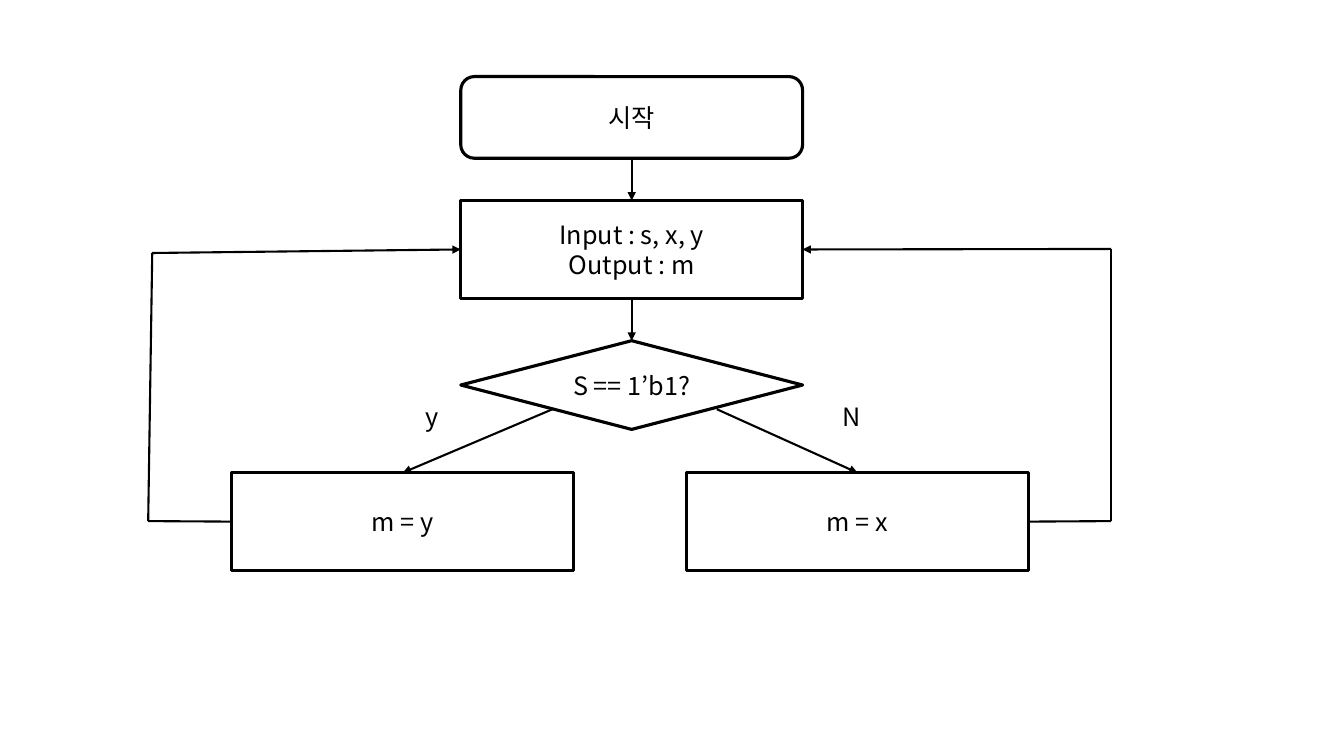
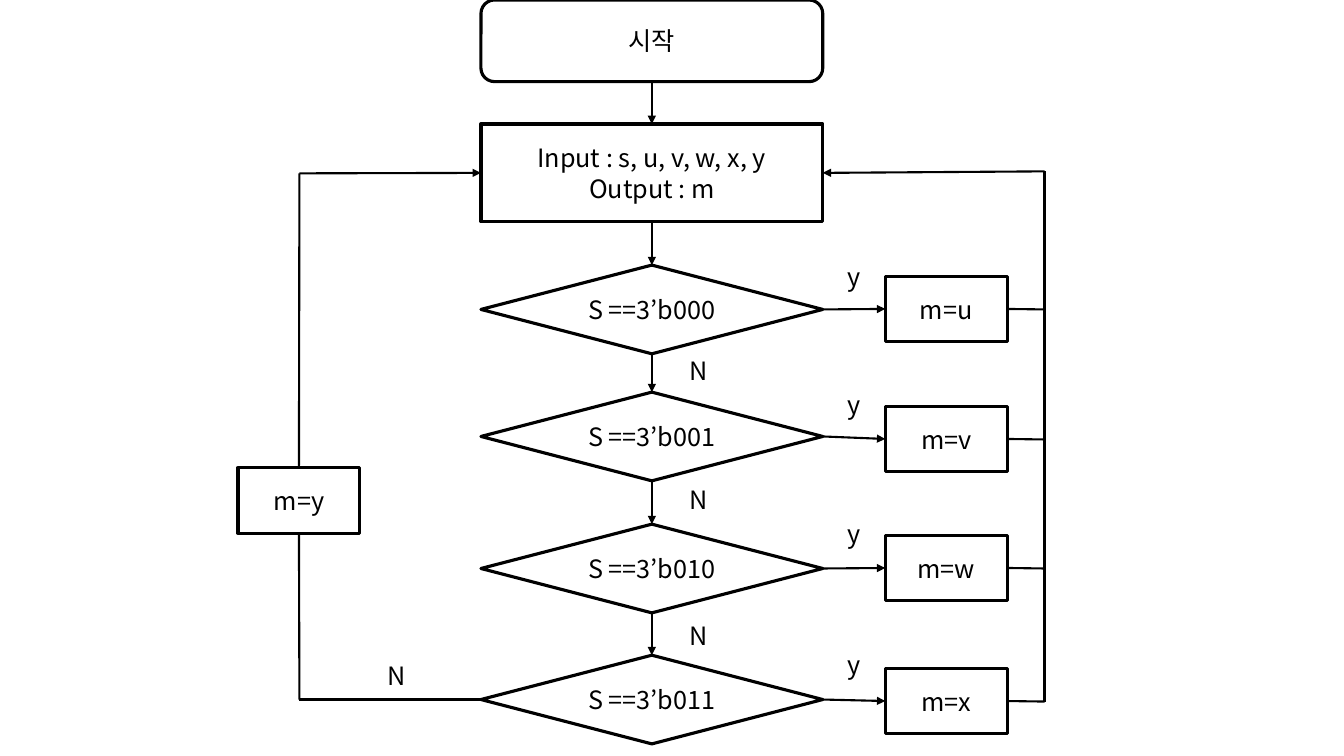
from lxml import etree
from pptx import Presentation
from pptx.dml.color import RGBColor
from pptx.enum.shapes import MSO_CONNECTOR, MSO_SHAPE
from pptx.enum.text import MSO_ANCHOR, MSO_AUTO_SIZE, PP_ALIGN
from pptx.oxml.ns import qn
from pptx.util import Pt

PX = 9144
START = MSO_SHAPE.FLOWCHART_ALTERNATE_PROCESS
STEP = MSO_SHAPE.FLOWCHART_PROCESS
TEST = MSO_SHAPE.FLOWCHART_DECISION
STRAIGHT = MSO_CONNECTOR.STRAIGHT
CENTER, LEFT = PP_ALIGN.CENTER, PP_ALIGN.LEFT
MIDDLE, UPPER = MSO_ANCHOR.MIDDLE, MSO_ANCHOR.TOP
GROW = MSO_AUTO_SIZE.SHAPE_TO_FIT_TEXT
TOP, WEST, BOTTOM, EAST = range(4)
COLORS = {"ink": "000000", "paper": "FFFFFF"}
FONT = {"size": Pt(18), "name": "Noto Sans CJK KR"}
BOX = {"word_wrap": True, "vertical_anchor": MIDDLE}
LABEL = {"word_wrap": True, "vertical_anchor": UPPER, "auto_size": GROW}
WIDE, TALL = 339, 97


def color(name):
    return RGBColor.from_string(COLORS[name])


def apply(target, values):
    for name, value in values.items():
        setattr(target, name, value)


class Chart:
    def __init__(self):
        self.deck = Presentation()
        apply(self.deck, {"slide_width": 1333 * PX, "slide_height": 750 * PX})

    def page(self):
        self.slide = self.deck.slides.add_slide(self.deck.slide_layouts[6])

    def letter(self, shape, text, frame, align):
        body = shape.text_frame
        body.text = text
        apply(body, frame)
        for para in body.paragraphs:
            para.alignment = align
            for run in para.runs:
                run.font.color.rgb = color("ink")
                apply(run.font, FONT)
                props = run.font._element
                etree.SubElement(props, qn("a:ea"), typeface=FONT["name"])

    def stroke(self, line, width):
        line.color.rgb = color("ink")
        line.width = Pt(width)

    def box(self, kind, text, *area):
        shape = self.slide.shapes.add_shape(kind, *[n * PX for n in area])
        shape.shadow.inherit = False
        shape.fill.solid()
        shape.fill.fore_color.rgb = color("paper")
        self.stroke(shape.line, 2.25)
        self.letter(shape, text, BOX, CENTER)
        return shape

    def label(self, text, x, y):
        area = [n * PX for n in (x, y, 32, 40)]
        self.letter(self.slide.shapes.add_textbox(*area), text, LABEL, LEFT)

    def spot(self, end):
        place, side = end
        if isinstance(place, int):
            return place * PX, side * PX
        across = {WEST: 0, EAST: place.width}.get(side, place.width // 2)
        down = {TOP: 0, BOTTOM: place.height}.get(side, place.height // 2)
        return place.left + across, place.top + down

    def link(self, start, end, arrow=True):
        points = self.spot(start) + self.spot(end)
        wire = self.slide.shapes.add_connector(STRAIGHT, *points)
        for join, (place, side) in ((wire.begin_connect, start), (wire.end_connect, end)):
            if not isinstance(place, int):
                join(place, side)
        self.stroke(wire.line, 1.5)
        props = wire._element.spPr
        if arrow:
            etree.SubElement(props.find(qn("a:ln")), qn("a:tailEnd"), type="triangle")
        etree.SubElement(props, qn("a:effectLst"))

    def route(self, *stops):
        for index, pair in enumerate(zip(stops, stops[1:])):
            self.link(*pair, arrow=index == len(stops) - 2)

    def head(self, x, y, text):
        start = self.box(START, "시작", x, y, WIDE, 81)
        entry = self.box(STEP, f"{text}\nOutput : m", x, y + 123, WIDE, TALL)
        self.link((start, BOTTOM), (entry, TOP))
        return entry

    def test(self, text, x, y, above):
        shape = self.box(TEST, text, x, y, WIDE, 88)
        self.link((above, BOTTOM), (shape, TOP))
        return shape


def two_way(chart):
    chart.page()
    entry = chart.head(457, 76, "Input : s, x, y")
    chart.test("S == 1’b1?", 457, 338, entry)
    left, right = [
        chart.box(STEP, text, x, 469, WIDE, TALL)
        for text, x in (("m = y", 230), ("m = x", 681))
    ]
    for x, step in ((548, left), (711, right)):
        chart.link((x, 406), (step, TOP))
    for text, x in (("y", 412), ("N", 826)):
        chart.label(text, x, 393)
    chart.route((left, WEST), (147, 517), (151, 251), (entry, WEST))
    chart.route((right, EAST), (1102, 517), (1102, 247), (entry, EAST))


def five_way(chart):
    chart.page()
    entry = chart.head(477, 0, "Input : s, u, v, w, x, y")
    rail = 1036
    rows = (
        ("000", "u", 263, 274, 254),
        ("001", "v", 389, 403, 381),
        ("010", "w", 520, 531, 509),
        ("011", "x", 650, 663, 639),
    )
    above = entry
    for code, name, y, step_y, yes_y in rows:
        above = chart.test(f"S ==3’b{code}", 477, y, above)
        step = chart.box(STEP, f"m={name}", 878, step_y, 121, 65)
        chart.link((above, EAST), (step, WEST))
        chart.link((step, EAST), (rail, step_y + 33), arrow=False)
        chart.label("y", 831, yes_y)
    for x, y in ((674, 348), (674, 476), (674, 611), (374, 650)):
        chart.label("N", x, y)
    chart.route((rail, 696), (rail, 170), (entry, EAST))
    last = chart.box(STEP, "m=y", 236, 464, 121, 65)
    chart.link((above, WEST), (297, 694), arrow=False)
    chart.link((297, 694), (last, BOTTOM), arrow=False)
    chart.route((last, TOP), (297, 172), (entry, WEST))


def main():
    chart = Chart()
    two_way(chart)
    five_way(chart)
    chart.deck.save("out.pptx")


if __name__ == "__main__":
    main()
